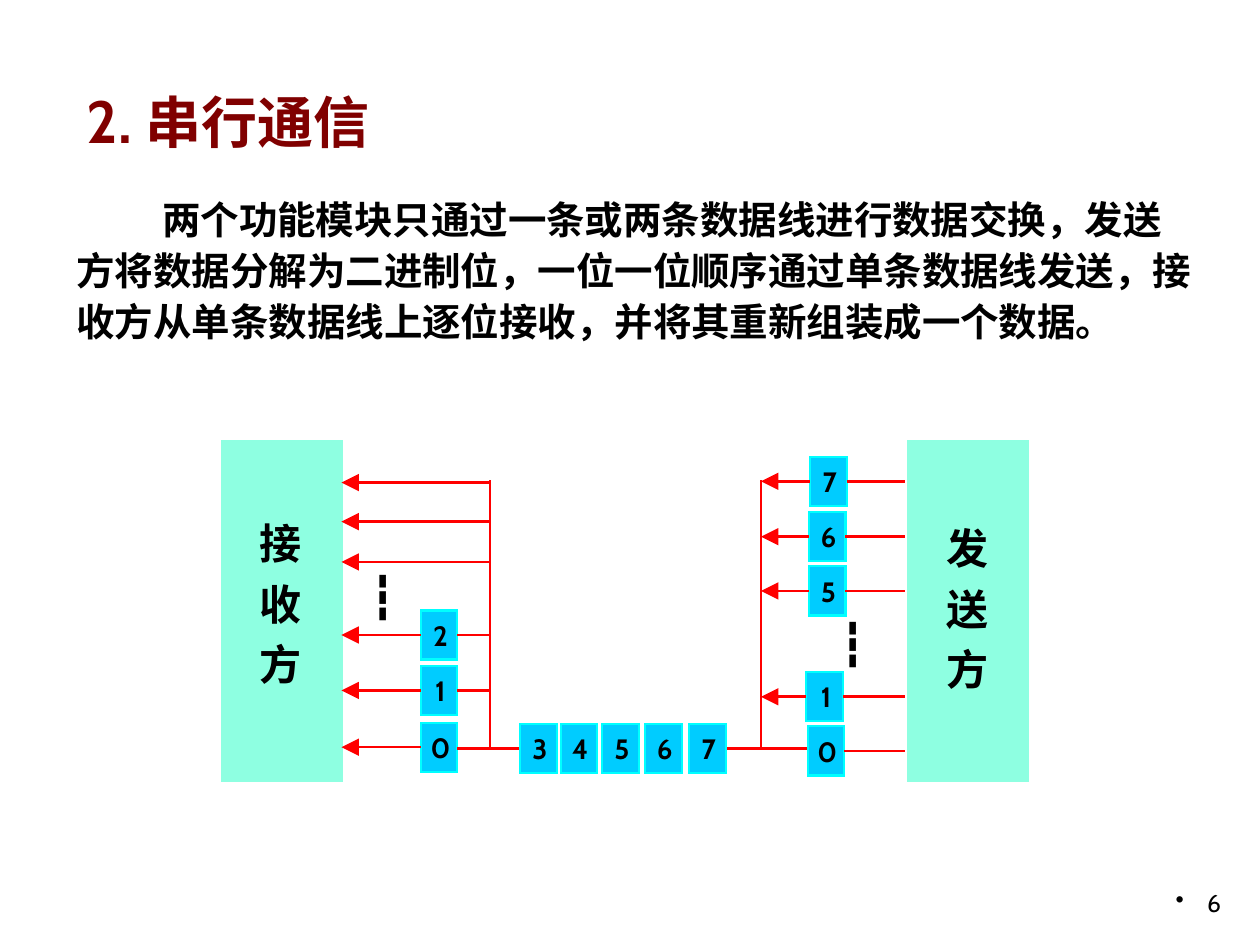
from lxml.etree import SubElement
from pptx import Presentation
from pptx.dml.color import RGBColor
from pptx.enum.shapes import MSO_CONNECTOR, MSO_SHAPE
from pptx.enum.text import MSO_ANCHOR, PP_ALIGN
from pptx.oxml.ns import qn
from pptx.util import Inches, Pt

BLACK = RGBColor(0, 0, 0)
MAROON = RGBColor(0x80, 0, 0)
RED = RGBColor(0xFF, 0, 0)
MINT = RGBColor(0x8E, 0xFF, 0xE1)
SKY = RGBColor(0, 0xCC, 0xFF)
CYAN = RGBColor(0, 0xFF, 0xFF)
LATIN, CHINESE = "Cabin", "Noto Sans CJK SC"

TITLE = [("2. ", LATIN, 34), ("串行通信", CHINESE, 32)]
BODY = ("两个功能模块只通过一条或两条数据线进行数据交换，发送方将数据分解为二进制位，"
        "一位一位顺序通过单条数据线发送，接收方从单条数据线上逐位接收，并将其重新组装成一个数据。")
PAGE_NUMBER = "6"
PARTIES = [("接收方", 1.77, 1.96, 3.98), ("发送方", 7.21, 7.41, 4.02)]
ELLIPSES = [(2.84, 4.48), (6.57, 4.85)]

PARTY_TOP, PARTY_WIDTH, PARTY_HEIGHT = 3.51, 0.94, 2.68
BIT_WIDTH, BIT_HEIGHT = 0.29, 0.39
RECEIVER_EDGE, SENDER_EDGE = 2.71, 7.18
RECEIVER_BUS, SENDER_BUS, BUS_TOP, WIRE = 3.89, 6.04, 3.81, 5.94
RECEIVER_BIT = 3.34
EMPTY_ROWS = [3.83, 4.14, 4.46]
RECEIVED = [("2", 5.04), ("1", 5.48), ("0", 5.93)]
IN_TRANSIT = [("3", 4.13), ("4", 4.45), ("5", 4.78), ("6", 5.12), ("7", 5.47)]
SENT = [("7", 6.43, 3.82), ("6", 6.42, 4.26), ("5", 6.42, 4.69),
        ("1", 6.4, 5.53), ("0", 6.41, 5.96)]


def add_text(paragraph, text, typeface, size, color=BLACK, bold=True):
    run = paragraph.add_run()
    run.text = text
    run.font.size, run.font.bold, run.font.name = Pt(size), bold, typeface
    run.font.color.rgb = color
    SubElement(run.font._element, qn("a:ea"), typeface=typeface)


def add_box(shapes, left, top, width, height, wrap=True):
    box = shapes.add_textbox(*map(Inches, (left, top, width, height)))
    box.text_frame.word_wrap = wrap
    return box.text_frame


def add_block(shapes, left, top, width, height, fill, outline, weight):
    block = shapes.add_shape(MSO_SHAPE.RECTANGLE, *map(Inches, (left, top, width, height)))
    block.shadow.inherit = False
    block.fill.solid()
    block.fill.fore_color.rgb = fill
    block.line.color.rgb = outline
    block.line.width = Pt(weight)
    SubElement(block.line._get_or_add_ln(), qn("a:miter"), lim="800000")
    return block


def add_bit(shapes, digit, left, middle):
    frame = add_block(shapes, left, middle - BIT_HEIGHT / 2, BIT_WIDTH, BIT_HEIGHT,
                      SKY, CYAN, 1.25).text_frame
    frame.margin_left, frame.margin_right = Inches(0.02), 0
    frame.paragraphs[0].alignment = PP_ALIGN.CENTER
    add_text(frame.paragraphs[0], digit, LATIN, 16)


def add_line(shapes, x1, y1, x2, y2, arrow=False):
    line = shapes.add_connector(MSO_CONNECTOR.STRAIGHT, *map(Inches, (x1, y1, x2, y2)))
    line.line.color.rgb = RED
    line.line.width = Pt(1.5)
    if arrow:
        SubElement(line.line._get_or_add_ln(), qn("a:headEnd"),
                   type="triangle", w="lg", len="lg")
    SubElement(line._element.spPr, qn("a:effectLst"))


def add_heading(slide):
    title = slide.shapes.title
    title.left, title.top, title.width, title.height = map(Inches, (0.59, 0.52, 8.52, 0.76))
    title.text_frame.vertical_anchor = MSO_ANCHOR.BOTTOM
    heading = title.text_frame.paragraphs[0]
    heading.alignment = PP_ALIGN.LEFT
    for text, typeface, size in TITLE:
        add_text(heading, text, typeface, size, MAROON)


def add_body(slide):
    body = add_box(slide.shapes, 0.51, 1.47, 9.06, 1.97).paragraphs[0]
    body.alignment = PP_ALIGN.LEFT
    body.line_spacing = 1.1
    body.space_before = Pt(3)
    body._p.get_or_add_pPr().set("indent", str(Inches(0.68)))
    add_text(body, BODY, CHINESE, 22)


def add_page_number(slide):
    frame = add_box(slide.shapes, 9.02, 6.83, 0.77, 0.5)
    frame.vertical_anchor = MSO_ANCHOR.BOTTOM
    number = frame.paragraphs[0]
    number.alignment = PP_ALIGN.RIGHT
    properties = number._p.get_or_add_pPr()
    properties.set("marL", str(Inches(0.25)))
    properties.set("indent", str(-Inches(0.25)))
    SubElement(properties, qn("a:buChar"), char="•")
    add_text(number, PAGE_NUMBER, LATIN, 14, bold=False)


def add_diagram(slide):
    shapes = slide.shapes.add_group_shape().shapes
    for name, left, name_left, name_top in PARTIES:
        add_block(shapes, left, PARTY_TOP, PARTY_WIDTH, PARTY_HEIGHT, MINT, MINT, 2)
        label = add_box(shapes, name_left, name_top, 0.55, 1.56).paragraphs[0]
        label.line_spacing = 1.2
        add_text(label, name, CHINESE, 24)
    for left, top in ELLIPSES:
        frame = add_box(shapes, left, top, 0.64, 0.5, wrap=False)
        frame.vertical_anchor = MSO_ANCHOR.MIDDLE
        add_text(frame.paragraphs[0], "┇", LATIN, 24, bold=False)

    for bus in (RECEIVER_BUS, SENDER_BUS):
        add_line(shapes, bus, WIRE, bus, BUS_TOP)
    for row in EMPTY_ROWS:
        add_line(shapes, RECEIVER_EDGE, row, RECEIVER_BUS, row, arrow=True)
    for digit, row in RECEIVED:
        add_bit(shapes, digit, RECEIVER_BIT, row)
        add_line(shapes, RECEIVER_EDGE, row, RECEIVER_BIT, row, arrow=True)
        if row != RECEIVED[-1][1]:
            add_line(shapes, RECEIVER_BIT + BIT_WIDTH, row, RECEIVER_BUS, row)

    add_line(shapes, RECEIVER_BIT + BIT_WIDTH, WIRE, IN_TRANSIT[0][1], WIRE)
    add_line(shapes, IN_TRANSIT[-1][1] + BIT_WIDTH, WIRE, SENT[-1][1], WIRE)
    for digit, left in IN_TRANSIT:
        add_bit(shapes, digit, left, WIRE)
    for digit, left, row in SENT:
        add_bit(shapes, digit, left, row)
        add_line(shapes, left + BIT_WIDTH, row, SENDER_EDGE, row)
        if row != SENT[-1][2]:
            add_line(shapes, SENDER_BUS, row, left, row, arrow=True)


def main():
    """Build the serial communication slide."""
    deck = Presentation()
    deck.slide_width, deck.slide_height = Inches(10), Inches(7.5)
    slide = deck.slides.add_slide(deck.slide_layouts[5])
    add_page_number(slide)
    add_heading(slide)
    add_body(slide)
    add_diagram(slide)
    deck.save("out.pptx")


if __name__ == "__main__":
    main()
